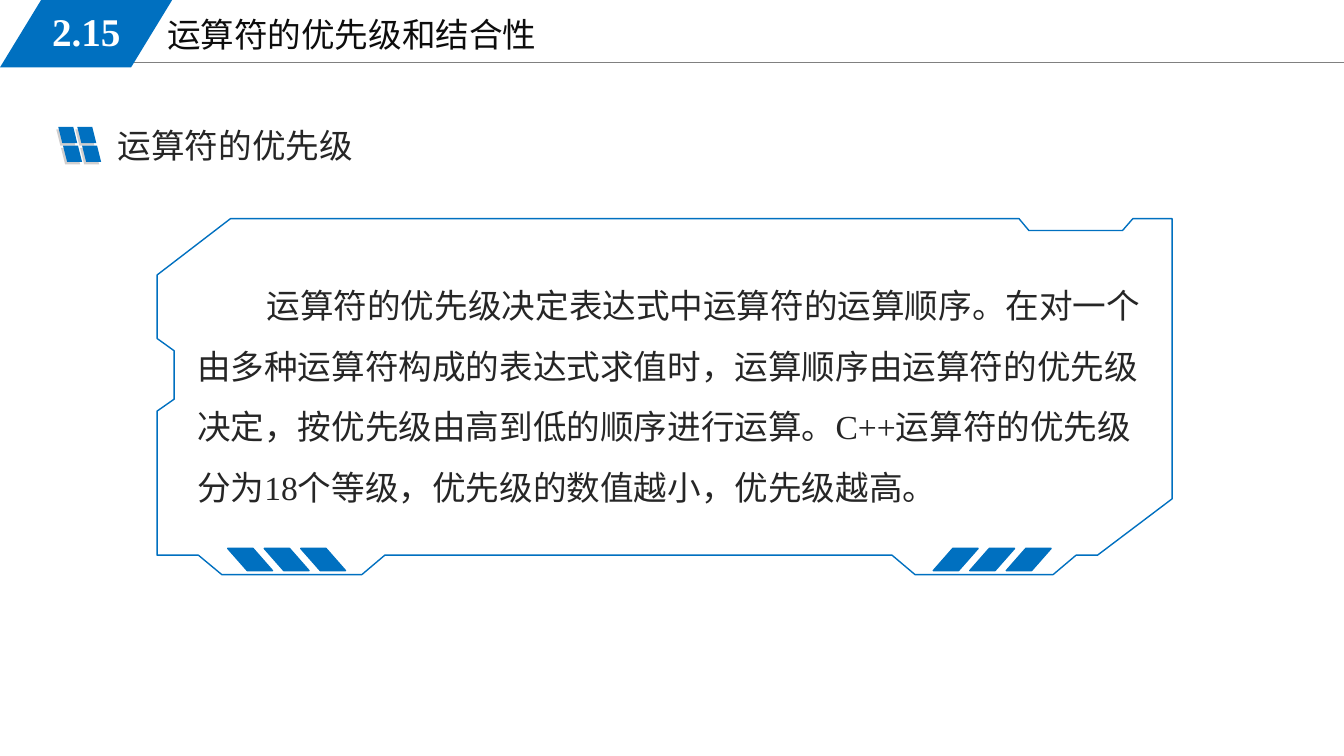
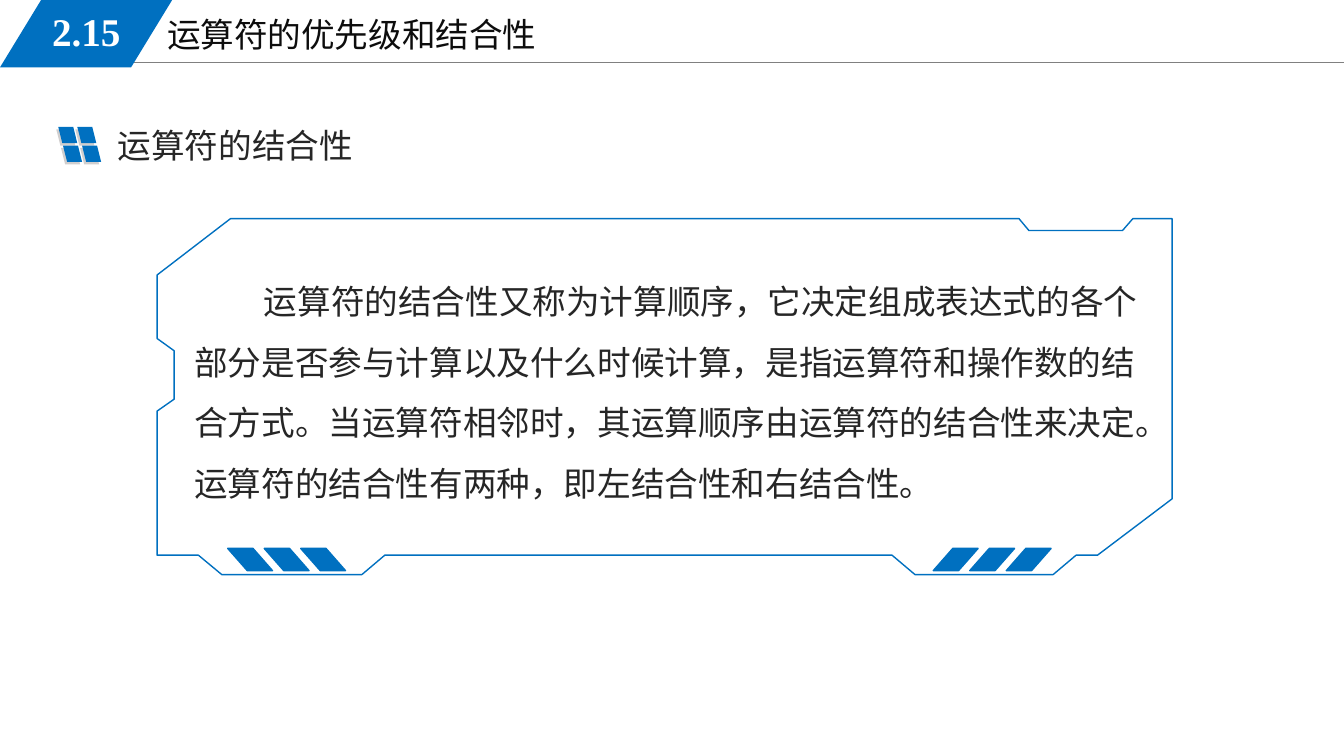
import pptx
import pptx.util
import pptx.dml.color
import pptx.enum.shapes
import pptx.enum.text
import pptx.oxml.ns
import lxml.etree

Cm = pptx.util.Cm
Pt = pptx.util.Pt
RGB = pptx.dml.color.RGBColor
Align = pptx.enum.text.PP_ALIGN
Anchor = pptx.enum.text.MSO_ANCHOR
qn = pptx.oxml.ns.qn

BLUE = RGB(0x00, 0x70, 0xC0)
GREY = RGB(0x80, 0x80, 0x80)
SHADE = RGB(0xD0, 0xCE, 0xCE)
TITLE = RGB(0x0D, 0x0D, 0x0D)
INK = RGB(0x26, 0x26, 0x26)
WHITE = RGB(0xFF, 0xFF, 0xFF)
SERIF = "Times New Roman"
SANS = "Noto Sans CJK SC"
WIDTH, HEIGHT = 33.87, 19.05

# Frame outline, in cm from the top left of its box
EDGE = [
    (1.85, 0), (21.72, 0), (21.97, 0.3), (24.33, 0.3), (24.59, 0),
    (25.58, 0), (25.58, 7.06), (23.7, 8.48), (23.16, 8.48), (22.58, 8.97),
    (19.1, 8.97), (18.52, 8.48), (5.74, 8.48), (5.16, 8.97), (1.63, 8.97),
    (1.04, 8.48), (0, 8.48), (0, 4.85), (0.43, 4.55), (0.43, 3.33),
    (0, 3.02), (0, 1.42),
]

PAGES = [
    ("运算符的优先级",
     "运算符的优先级决定表达式中运算符的运算顺序。在对一个由多种运算符构成的表达式求值时，"
     "运算顺序由运算符的优先级决定，按优先级由高到低的顺序进行运算。"
     "C++运算符的优先级分为18个等级，优先级的数值越小，优先级越高。",
     SERIF, (4.72, 6.55, 24.56, 6.22)),
    ("运算符的结合性",
     "运算符的结合性又称为计算顺序，它决定组成表达式的各个部分是否参与计算以及什么时候计算，"
     "是指运算符和操作数的结合方式。当运算符相邻时，其运算顺序由运算符的结合性来决定。"
     "运算符的结合性有两种，即左结合性和右结合性。",
     SANS, (4.65, 6.45, 24.56, 6.4)),
]


def write(shapes, box, text, face=SERIF, size=24, color=INK):
    """Add a wrapped text box and return its frame."""
    frame = shapes.add_textbox(*map(Cm, box)).text_frame
    frame.word_wrap = True
    para = frame.paragraphs[0]
    para.text = text
    font = para.font
    font.name, font.size = face, Pt(size)
    font.color.rgb = color
    base = para._p.pPr.find(qn("a:defRPr"))
    lxml.etree.SubElement(base, qn("a:ea")).set("typeface", SANS)
    return frame


def slant(shapes, box, color, skew=0.25, flip=False, edge=False):
    """Add a filled parallelogram, leaning left if flipped."""
    kind = pptx.enum.shapes.MSO_SHAPE.PARALLELOGRAM
    shape = shapes.add_shape(kind, *map(Cm, box))
    shape.shadow.inherit = False
    shape.adjustments[0] = skew
    shape.fill.solid()
    shape.fill.fore_color.rgb = color
    if edge:
        shape.line.color.rgb = color
        shape.line.width = Pt(1)
    else:
        shape.line.fill.background()
    if flip:
        shape._element.spPr.xfrm.set("flipH", "1")


def header(slide, number, title):
    shapes = slide.shapes
    kind = pptx.enum.shapes.MSO_CONNECTOR.STRAIGHT
    rule = shapes.add_connector(kind, Cm(2.87), Cm(1.57), Cm(WIDTH), Cm(1.57))
    rule.line.color.rgb = GREY
    rule.line.width = Pt(0.75)
    lxml.etree.SubElement(rule._element.spPr, qn("a:effectLst"))
    write(shapes, (3.96, 0.23, 14.4, 1.28), title, color=TITLE)
    slant(shapes, (0, 0, 4.34, 1.7), BLUE, 0.61)
    frame = write(shapes, (0.64, 0.05, 3.07, 1.47), number, size=28, color=WHITE)
    frame.vertical_anchor = Anchor.MIDDLE
    para = frame.paragraphs[0]
    para.alignment = Align.CENTER
    para.font.bold = True


def heading(slide, left, top, text):
    """Place the four-tile mark and the section heading."""
    group = slide.shapes.add_group_shape().shapes
    for dx, dy, color in ((0, 0.06, SHADE), (0.05, 0, BLUE)):
        for col in range(2):
            for row in range(2):
                x = left + dx + 0.48 * col + 0.12 * row
                y = top + dy + 0.47 * row
                slant(group, (x, y, 0.48, 0.41), color, flip=True)
    write(group, (left + 1.3, top - 0.18, 7.16, 1.27), text, SANS)


def panel(slide, left, top):
    """Place the cut-corner frame with its two sets of bars."""
    group = slide.shapes.add_group_shape().shapes
    spots = [(Cm(left + x), Cm(top + y)) for x, y in EDGE]
    path = group.build_freeform(*spots[0])
    path.add_line_segments(spots[1:], close=True)
    frame = path.convert_to_shape()
    frame.shadow.inherit = False
    frame.fill.background()
    frame.line.color.rgb = BLUE
    frame.line.width = Pt(1)
    for start, flip in ((19.56, False), (1.78, True)):
        for i in range(3):
            box = (left + start + 0.92 * i, top + 8.31, 1.13, 0.56)
            slant(group, box, BLUE, 0.88, flip, edge=True)


def body(slide, box, text, face):
    para = write(slide.shapes, box, text, face).paragraphs[0]
    para.line_spacing = 1.5
    para._p.pPr.set("indent", str(Cm(1.75)))


def main():
    deck = pptx.Presentation()
    deck.slide_width, deck.slide_height = Cm(WIDTH), Cm(HEIGHT)
    for topic, text, face, box in PAGES:
        slide = deck.slides.add_slide(deck.slide_layouts[6])
        header(slide, "2.15", "运算符的优先级和结合性")
        body(slide, box, text, face)
        heading(slide, 1.42, 3.2, topic)
        panel(slide, 3.96, 5.51)
    deck.save("out.pptx")


if __name__ == "__main__":
    main()
